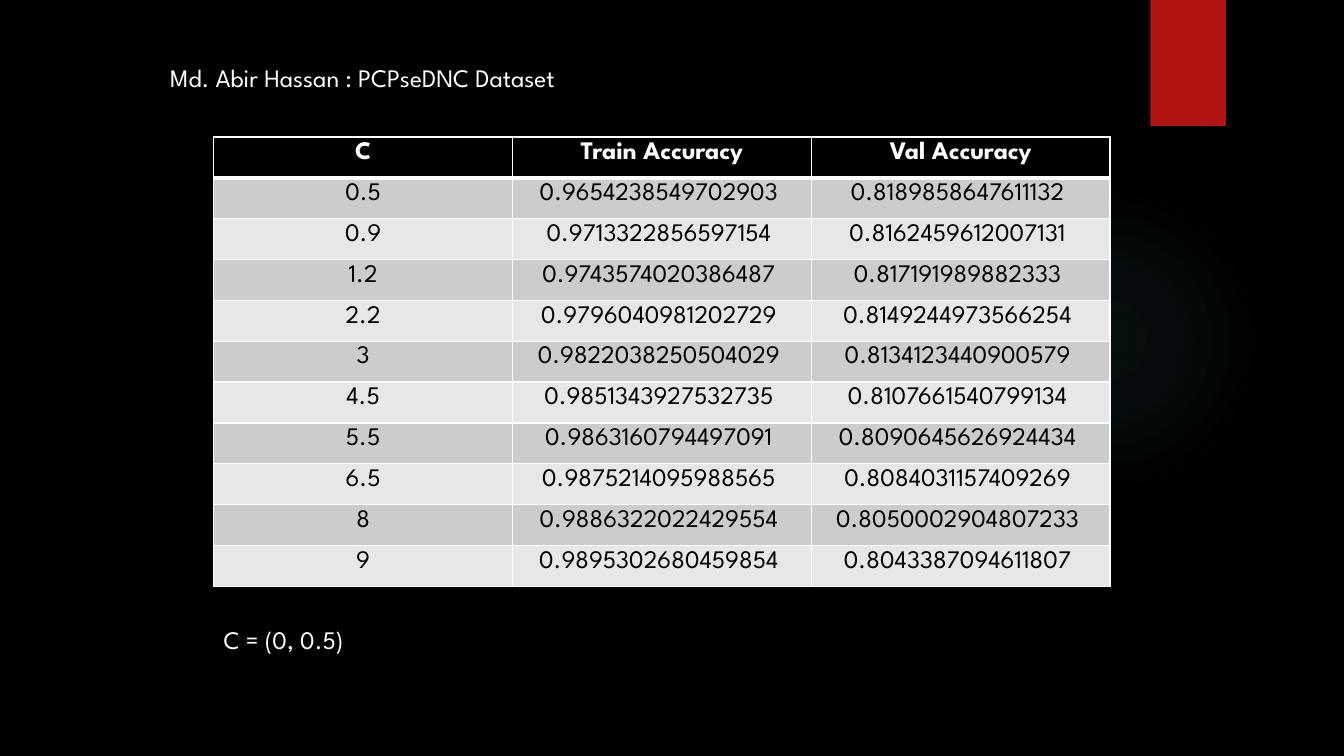
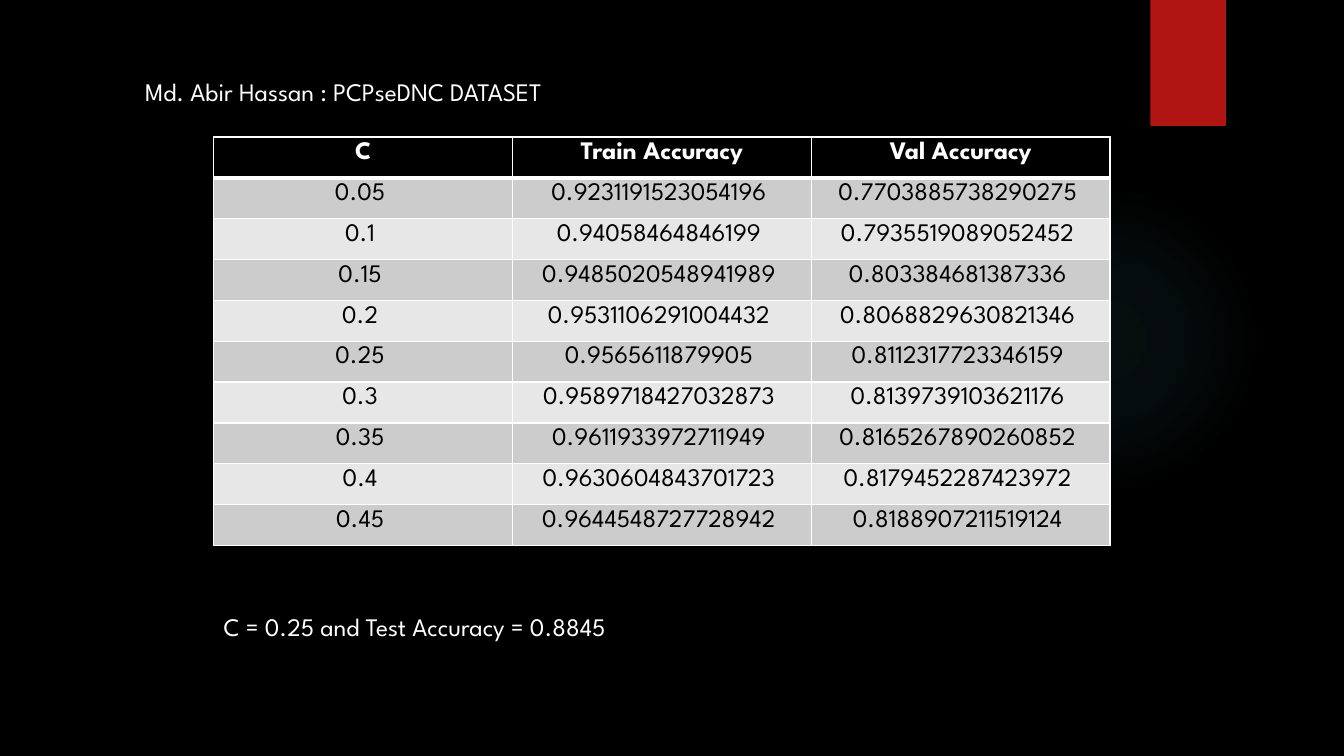
from pptx import Presentation
from pptx.dml.color import RGBColor
from pptx.enum.shapes import MSO_SHAPE
from pptx.enum.text import MSO_AUTO_SIZE, PP_ALIGN
from pptx.oxml import parse_xml
from pptx.oxml.ns import nsdecls
from pptx.util import Inches, Pt

HEADERS = ("C", "Train Accuracy", "Val Accuracy")

LARGE_C_ROWS = (
    ("0.5", "0.9654238549702903", "0.8189858647611132"),
    ("0.9", "0.9713322856597154", "0.8162459612007131"),
    ("1.2", "0.9743574020386487", "0.817191989882333"),
    ("2.2", "0.9796040981202729", "0.8149244973566254"),
    ("3", "0.9822038250504029", "0.8134123440900579"),
    ("4.5", "0.9851343927532735", "0.8107661540799134"),
    ("5.5", "0.9863160794497091", "0.8090645626924434"),
    ("6.5", "0.9875214095988565", "0.8084031157409269"),
    ("8", "0.9886322022429554", "0.8050002904807233"),
    ("9", "0.9895302680459854", "0.8043387094611807"),
)

SMALL_C_ROWS = (
    ("0.05", "0.9231191523054196", "0.7703885738290275"),
    ("0.1", "0.94058464846199", "0.7935519089052452"),
    ("0.15", "0.9485020548941989", "0.803384681387336"),
    ("0.2", "0.9531106291004432", "0.8068829630821346"),
    ("0.25", "0.9565611879905", "0.8112317723346159"),
    ("0.3", "0.9589718427032873", "0.8139739103621176"),
    ("0.35", "0.9611933972711949", "0.8165267890260852"),
    ("0.4", "0.9630604843701723", "0.8179452287423972"),
    ("0.45", "0.9644548727728942", "0.8188907211519124"),
)


def color(hex_string):
    return RGBColor.from_string(hex_string)


def write(text_frame, text, *, font, size=18, text_color="FFFFFF", bold=False,
          align=PP_ALIGN.LEFT):
    paragraph = text_frame.paragraphs[0]
    paragraph.alignment = align
    run = paragraph.add_run()
    run.text = text
    run.font.name = font
    run.font.size = Pt(size)
    run.font.bold = bold
    run.font.color.rgb = color(text_color)


class Deck:
    FONT = "League Spartan"
    BLACK, WHITE, RED, GLOW = "000000", "FFFFFF", "B01513", "50B9C1"
    BANDS = ("CCCCCC", "E7E7E7")
    GLOW_STOPS = ((0, 7), (36, 6), (69, 0))  # position and opacity, percent
    TABLE_LEFT, TABLE_TOP, TABLE_WIDTH = 2.12, 1.36, 8.89
    ROW_HEIGHT = 4.46 / 11

    def __init__(self):
        self.presentation = Presentation()
        self.presentation.slide_width = Inches(13.33)
        self.presentation.slide_height = Inches(7.5)
        self.slide = None

    def add_slide(self):
        """Start a slide with the shared background, glow and ribbon."""
        layout = self.presentation.slide_layouts[6]
        self.slide = self.presentation.slides.add_slide(layout)
        background = self.slide.background.fill
        background.solid()
        background.fore_color.rgb = color(self.BLACK)
        self.add_glow(9.41, 1.83, 3.08)
        ribbon = self.add_shape(MSO_SHAPE.RECTANGLE, 11.41, 0, 0.75, 1.25)
        ribbon.fill.solid()
        ribbon.fill.fore_color.rgb = color(self.RED)

    def add_shape(self, kind, left, top, width, height):
        shape = self.slide.shapes.add_shape(
            kind, Inches(left), Inches(top), Inches(width), Inches(height))
        shape.shadow.inherit = False
        shape.line.fill.background()
        return shape

    def add_glow(self, left, top, diameter):
        shape = self.add_shape(MSO_SHAPE.OVAL, left, top, diameter, diameter)
        stops = "".join(
            f'<a:gs pos="{position * 1000}"><a:srgbClr val="{self.GLOW}">'
            f'<a:alpha val="{opacity * 1000}"/></a:srgbClr></a:gs>'
            for position, opacity in self.GLOW_STOPS)
        gradient = parse_xml(
            f'<a:gradFill {nsdecls("a")}><a:gsLst>{stops}</a:gsLst>'
            '<a:path path="circle"><a:fillToRect l="50000" t="50000" '
            'r="50000" b="50000"/></a:path></a:gradFill>')
        # The fill follows the position and the geometry
        shape.element.spPr.insert(2, gradient)

    def add_text(self, text, left, top, width):
        box = self.slide.shapes.add_textbox(
            Inches(left), Inches(top), Inches(width), Inches(0.4))
        box.text_frame.word_wrap = True
        box.text_frame.auto_size = MSO_AUTO_SIZE.SHAPE_TO_FIT_TEXT
        write(box.text_frame, text, font=self.FONT, text_color=self.WHITE)

    def add_borders(self, cell, top, bottom):
        properties = cell._tc.get_or_add_tcPr()
        for side, width in (("L", 1), ("R", 1), ("T", top), ("B", bottom)):
            properties.append(parse_xml(
                f'<a:ln{side} {nsdecls("a")} w="{Pt(width)}"><a:solidFill>'
                f'<a:srgbClr val="{self.WHITE}"/></a:solidFill></a:ln{side}>'))

    def add_table(self, rows, shifted_columns):
        """Add the accuracy table; shifted columns sit slightly left of centre."""
        rows = (HEADERS, *rows)
        table = self.slide.shapes.add_table(
            len(rows), len(HEADERS), Inches(self.TABLE_LEFT), Inches(self.TABLE_TOP),
            Inches(self.TABLE_WIDTH), Inches(self.ROW_HEIGHT * len(rows))).table
        table.first_row = table.horz_banding = False
        for row_index, values in enumerate(rows):
            header = row_index == 0
            fill = self.BLACK if header else self.BANDS[(row_index - 1) % 2]
            for column_index, value in enumerate(values):
                cell = table.cell(row_index, column_index)
                self.add_borders(cell, top=3 if row_index == 1 else 1,
                                 bottom=3 if header else 1)
                cell.fill.solid()
                cell.fill.fore_color.rgb = color(fill)
                if not header and column_index in shifted_columns:
                    cell.margin_right = Inches(0.16)
                write(cell.text_frame, value, font=self.FONT, bold=header,
                      text_color=self.WHITE if header else self.BLACK,
                      align=PP_ALIGN.CENTER)


def main():
    deck = Deck()

    # Large values of C
    deck.add_slide()
    deck.add_text("Md. Abir Hassan : PCPseDNC Dataset", 1.59, 0.57, 7)
    deck.add_table(LARGE_C_ROWS, shifted_columns=(1, 2))
    deck.add_text("C = (0, 0.5)", 2.12, 6.14, 2.85)

    # Small values of C
    deck.add_slide()
    deck.add_text("Md. Abir Hassan : PCPseDNC DATASET", 1.34, 0.71, 5.22)
    deck.add_table(SMALL_C_ROWS, shifted_columns=(0, 1, 2))
    deck.add_text("C = 0.25 and Test Accuracy = 0.8845", 2.12, 6.02, 5.12)

    deck.presentation.save("out.pptx")


if __name__ == "__main__":
    main()
